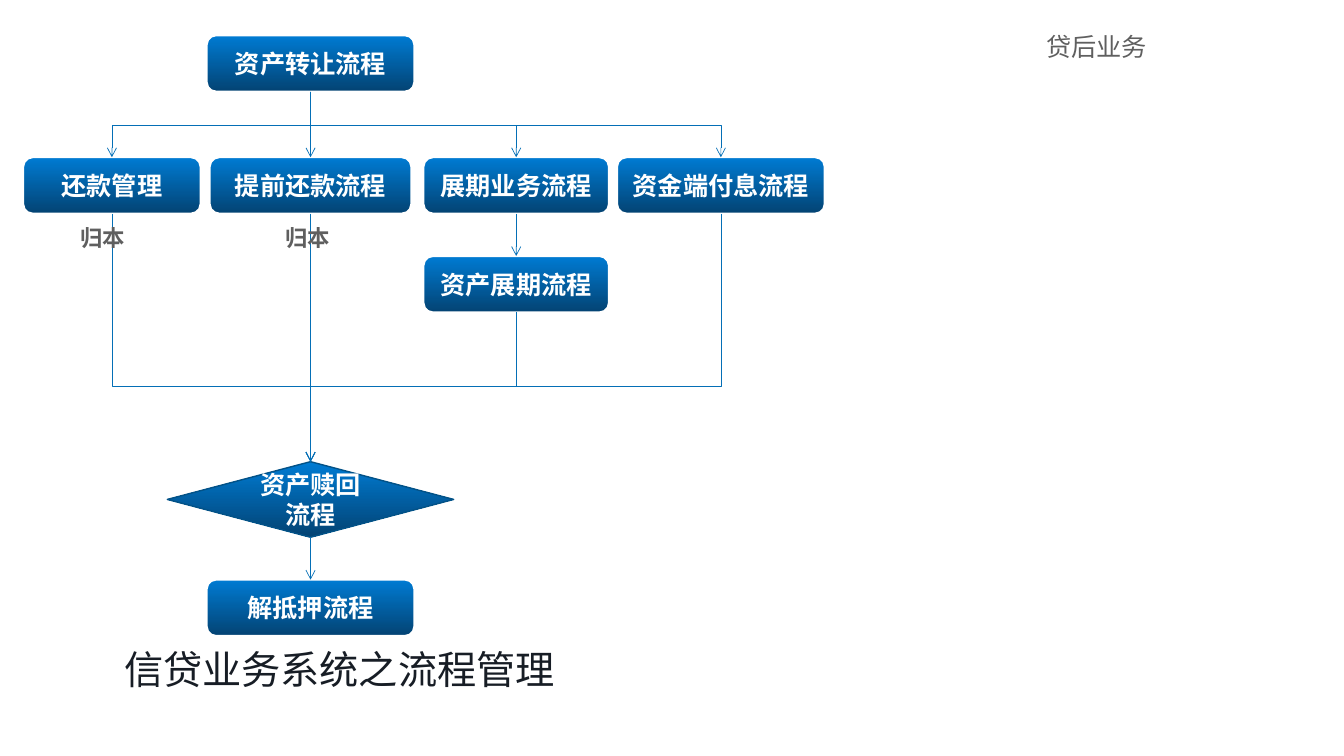
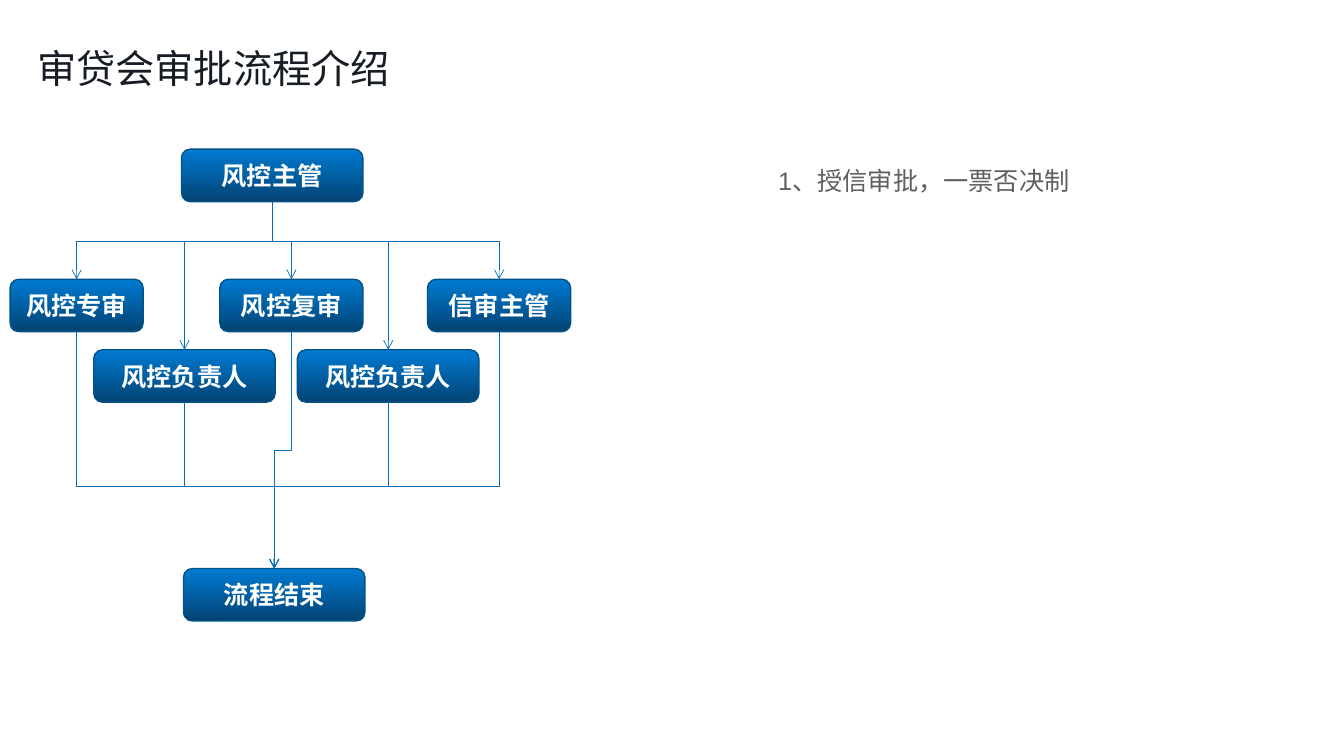
import pptx
import pptx.util
import pptx.dml.color
import pptx.enum.shapes
import pptx.enum.text
import pptx.oxml.ns
import lxml.etree
from collections import namedtuple

RGBColor = pptx.dml.color.RGBColor
Shapes = pptx.enum.shapes.MSO_SHAPE
Connectors = pptx.enum.shapes.MSO_CONNECTOR
Align = pptx.enum.text.PP_ALIGN
Anchor = pptx.enum.text.MSO_ANCHOR
qn = pptx.oxml.ns.qn

WHITE = RGBColor(0xFF, 0xFF, 0xFF)
INK = RGBColor(0x17, 0x1D, 0x25)
GREY = RGBColor(0x5F, 0x5F, 0x5F)
BLUE_TOP = RGBColor(0x00, 0x7B, 0xD3)
BLUE_BOTTOM = RGBColor(0x03, 0x43, 0x73)
BLUE_EDGE = RGBColor(0x03, 0x52, 0x87)
BLUE_LINE = RGBColor(0x04, 0x6F, 0xB6)
LATIN_FONT = "Arial"
CHINESE_FONT = "Noto Sans CJK SC"
EMU_PER_PX = 9144
TOP_SITE, BOTTOM_SITE = 0, 2

Node = namedtuple("Node", "text centre top width height kind edge edge_width")
Link = namedtuple("Link", "start end bend", defaults=[None])


def px(length):
    return pptx.util.Emu(round(length * EMU_PER_PX))


def process(text, centre, top, width, height, edge=BLUE_EDGE, edge_width=1):
    return Node(text, centre, top, width, height,
                Shapes.FLOWCHART_ALTERNATE_PROCESS, edge, edge_width)


def write(shape, text, size, color, bold=False, font=LATIN_FONT,
          align=Align.LEFT, anchor=Anchor.TOP):
    frame = shape.text_frame
    frame.word_wrap = True
    frame.auto_size = pptx.enum.text.MSO_AUTO_SIZE.NONE
    frame.vertical_anchor = anchor
    paragraph = frame.paragraphs[0]
    paragraph.alignment = align
    run = paragraph.add_run()
    run.text = text
    run.font.size = pptx.util.Pt(size)
    run.font.bold = bold
    run.font.color.rgb = color
    run.font.name = font
    properties = run._r.get_or_add_rPr()
    properties.set("lang", "zh-CN")
    lxml.etree.SubElement(properties, qn("a:ea"), typeface=CHINESE_FONT)


def add_title_slide(presentation, text, left, top, width, height):
    slide = presentation.slides.add_slide(presentation.slide_layouts[5])
    title = slide.shapes.title
    title.left, title.top = px(left), px(top)
    title.width, title.height = px(width), px(height)
    write(title, text, 28, INK)
    return slide


def add_label(slide, text, left, top, width, height, size=18, **style):
    label = slide.shapes.add_textbox(px(left), px(top), px(width), px(height))
    write(label, text, size, GREY, **style)


def add_node(slide, node, left, top):
    shape = slide.shapes.add_shape(
        node.kind, px(left + node.centre - node.width / 2), px(top + node.top),
        px(node.width), px(node.height))
    shape.shadow.inherit = False
    shape.fill.gradient()
    shape.fill.gradient_angle = 270
    for stop, color in zip(shape.fill.gradient_stops, (BLUE_TOP, BLUE_BOTTOM)):
        stop.color.rgb = color
    shape.line.color.rgb = node.edge
    shape.line.width = pptx.util.Pt(node.edge_width)
    write(shape, node.text, 18, WHITE, bold=True,
          align=Align.CENTER, anchor=Anchor.MIDDLE)
    return shape


def bend_connector(connector, start, end, bend):
    run = end.centre - start.centre
    begin = start.top + start.height
    drop = end.top - begin
    middle_x = connector.left + connector.width // 2
    middle_y = connector.top + connector.height // 2
    connector.width, connector.height = px(drop), px(abs(run))
    connector.left = middle_x - connector.width // 2
    connector.top = middle_y - connector.height // 2
    properties = connector._element.spPr
    transform = properties.find(qn("a:xfrm"))
    for flip in ("flipH", "flipV"):
        transform.attrib.pop(flip, None)
    transform.set("rot", "5400000" if run < 0 else "16200000")
    if run > 0:
        transform.set("flipH", "1")
    adjustments = properties.find(qn("a:prstGeom")).find(qn("a:avLst"))
    share = round((bend - begin) / drop * 100000)
    lxml.etree.SubElement(adjustments, qn("a:gd"), name="adj1", fmla=f"val {share}")


def add_link(slide, link, nodes, shapes):
    kind = Connectors.STRAIGHT if link.bend is None else Connectors.ELBOW
    connector = slide.shapes.add_connector(kind, 0, 0, 0, 0)
    connector.begin_connect(shapes[link.start], BOTTOM_SITE)
    connector.end_connect(shapes[link.end], TOP_SITE)
    if link.bend is not None:
        bend_connector(connector, nodes[link.start], nodes[link.end], link.bend)
    connector.line.color.rgb = BLUE_LINE
    connector.line.width = pptx.util.Pt(0.5)
    properties = connector._element.spPr
    lxml.etree.SubElement(properties.find(qn("a:ln")), qn("a:tailEnd"), type="arrow")
    lxml.etree.SubElement(properties, qn("a:effectLst"))


def add_flow(slide, nodes, links, left, top):
    shapes = {name: add_node(slide, node, left, top) for name, node in nodes.items()}
    for link in links:
        add_link(slide, link, nodes, shapes)


def build_process_slide(presentation):
    slide = add_title_slide(presentation, "信贷业务系统之流程管理", 113, 635, 522, 57)
    frame = {"height": 56, "edge": WHITE, "edge_width": 1.5}
    nodes = {
        "transfer": process("资产转让流程", 285, 0, 206, **frame),
        "repayment": process("还款管理", 88, 121, 176, **frame),
        "prepayment": process("提前还款流程", 285, 121, 200, **frame),
        "extension": process("展期业务流程", 489, 121, 184, **frame),
        "interest": process("资金端付息流程", 692, 121, 206, **frame),
        "asset_extension": process("资产展期流程", 489, 219, 184, **frame),
        "redemption": Node("资产赎回流程", 285, 423, 284, 75,
                           Shapes.DIAMOND, BLUE_EDGE, 1),
        "release": process("解抵押流程", 285, 540, 206, **frame),
    }
    fan, merge = 89, 348
    links = [Link("transfer", name, fan)
             for name in ("repayment", "extension", "interest")]
    links += [Link(name, "redemption", merge)
              for name in ("repayment", "asset_extension", "interest")]
    links += [Link("transfer", "prepayment"), Link("prepayment", "redemption"),
              Link("extension", "asset_extension"), Link("redemption", "release")]
    add_flow(slide, nodes, links, 23, 35)
    for left in (70, 273):
        add_label(slide, "归本", left, 217, 69, 37, size=16, bold=True,
                  font=CHINESE_FONT)
    add_label(slide, "贷后业务", 1028, 26, 130, 40)


def build_approval_slide(presentation):
    slide = add_title_slide(presentation, "审贷会审批流程介绍", 27, 39, 419, 57)
    nodes = {
        "manager": process("风控主管", 260, 0, 180, 52),
        "specialist": process("风控专审", 66, 129, 132, 52),
        "reviewer": process("风控复审", 279, 129, 142, 52),
        "credit_manager": process("信审主管", 485, 129, 142, 52),
        "left_head": process("风控负责人", 173, 199, 180, 52),
        "right_head": process("风控负责人", 375, 199, 180, 52),
        "finish": process("流程结束", 262, 416, 180, 52),
    }
    fan, merge, reviewer_merge = 92, 335, 299
    reviewers = [name for name in nodes if name not in ("manager", "finish")]
    links = [Link("manager", name, fan) for name in reviewers]
    links += [Link(name, "finish", reviewer_merge if name == "reviewer" else merge)
              for name in reviewers]
    add_flow(slide, nodes, links, 10, 148)
    add_label(slide, "1、授信审批，一票否决制", 762, 159, 312, 40)


def main():
    presentation = pptx.Presentation()
    presentation.slide_width, presentation.slide_height = px(1333), px(750)
    build_process_slide(presentation)
    build_approval_slide(presentation)
    presentation.save("out.pptx")


if __name__ == "__main__":
    main()
